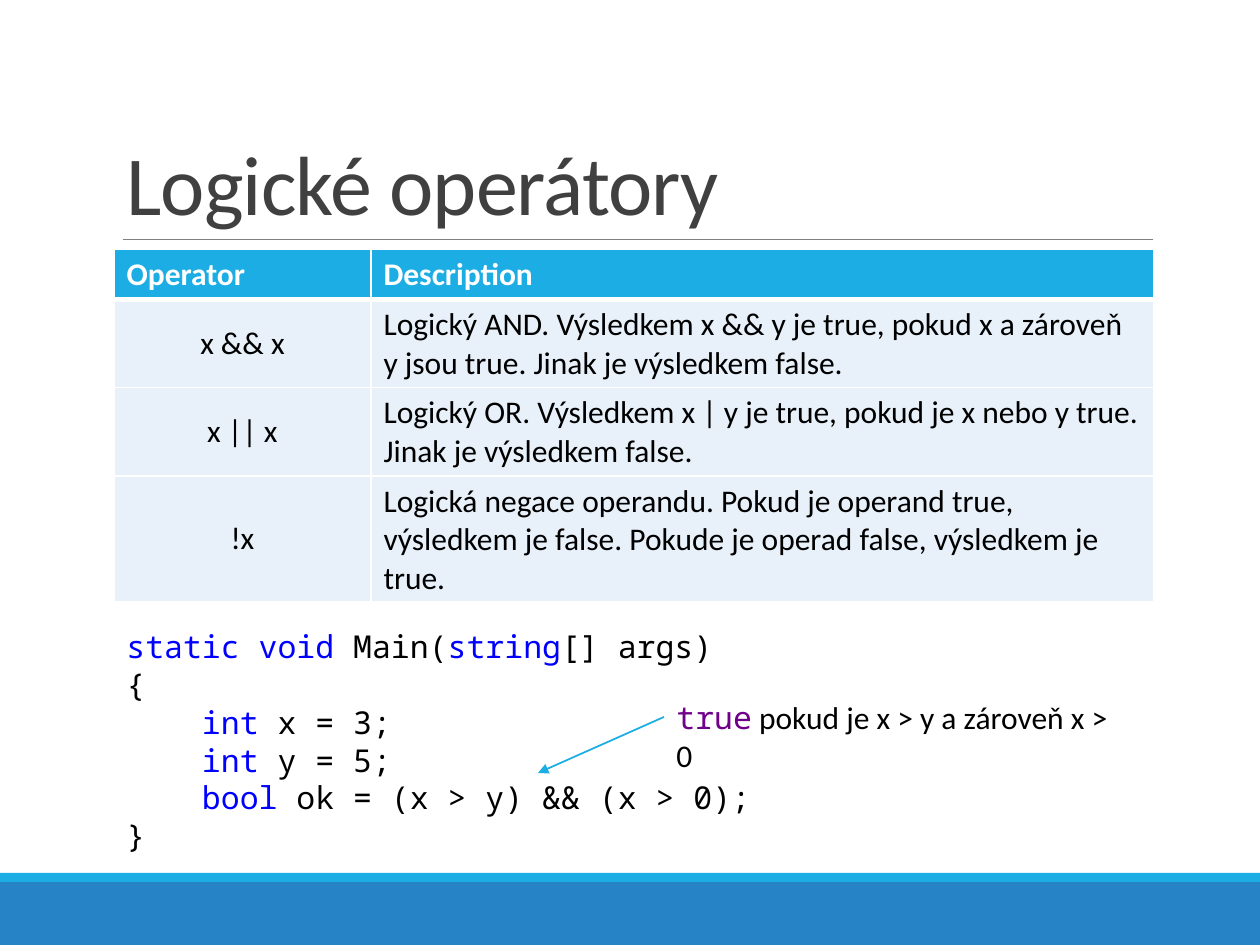
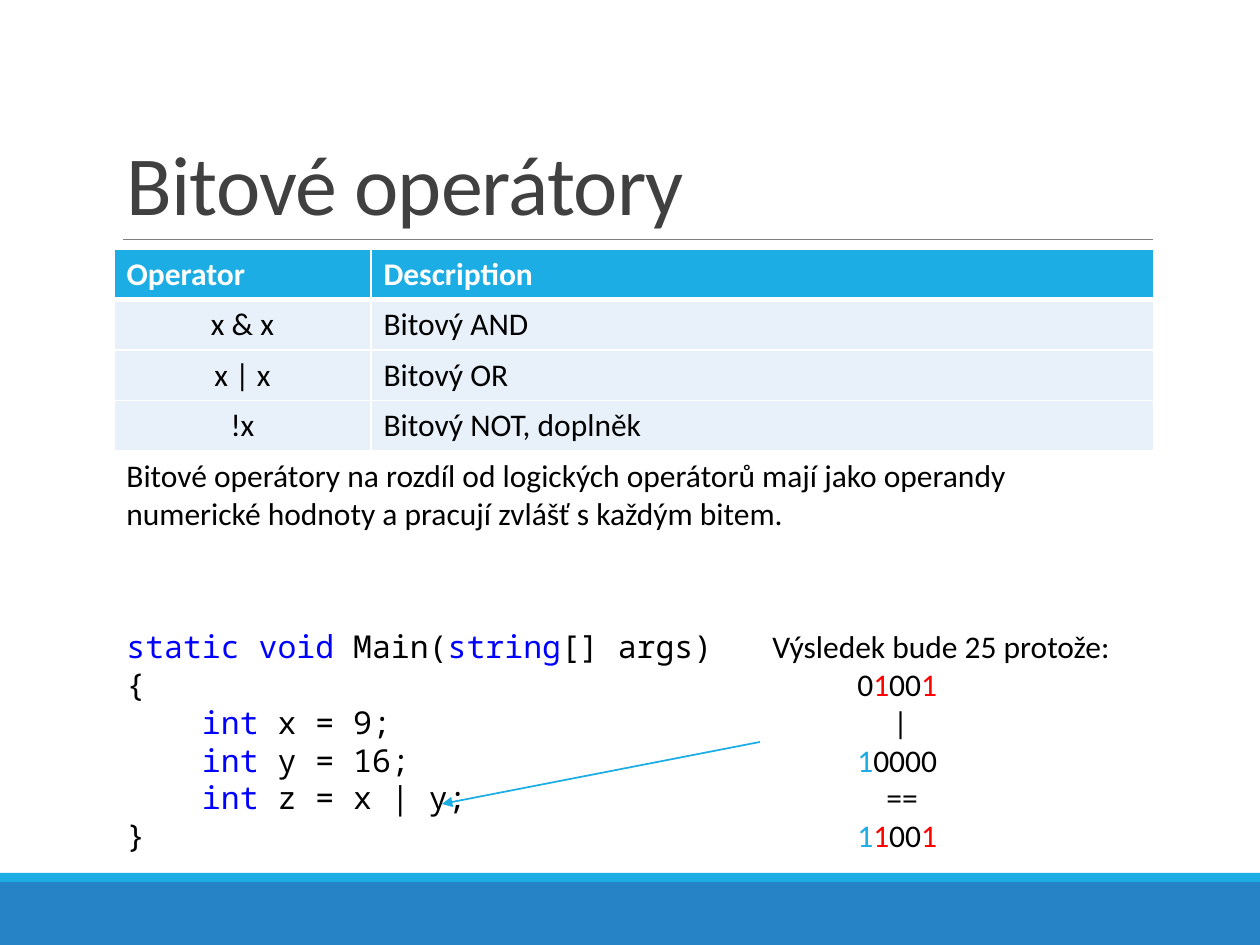
from lxml.etree import SubElement as Sub
from pptx import Presentation
from pptx.dml.color import RGBColor
from pptx.enum.shapes import MSO_CONNECTOR as Link, MSO_SHAPE as Shape
from pptx.enum.text import MSO_ANCHOR as Anchor, PP_ALIGN as Align
from pptx.oxml.ns import qn
from pptx.util import Emu, Pt

SCALE = 7257  # EMU in one px, 126 px to the inch
WIDE, HIGH = 1260, 945
LEFT, SPAN = 114, 1040
CODE_TOP, CODE_HIGH = 621, 242

BODY, MONO = "Calibri", "Noto Sans Mono"
BLACK, WHITE, DARK, GREY = "000000", "FFFFFF", "404040", "808080"
SKY, BAND, PALE = "1CADE4", "2683C6", "E8F1FA"
WORD, RED, PLUM = "0000FF", "FF0000", "6F008A"


def px(n):
    return Emu(round(n * SCALE))


def hue(code):
    return RGBColor.from_string(code)


def code(text):
    """Turn lines with ~keyword~ marks into coloured runs."""
    return [[(part, WORD if i % 2 else BLACK, MONO)
             for i, part in enumerate(line.split("~")) if part]
            for line in text.split("\n")]


class Deck:
    def __init__(self):
        self.prs = Presentation()
        self.prs.slide_width, self.prs.slide_height = px(WIDE), px(HIGH)
        self.slide = None

    # Shared frame: bands, rule and title
    def page(self, title):
        self.slide = self.prs.slides.add_slide(self.prs.slide_layouts[6])
        self.rect(0, 882, WIDE, 63, BAND)
        self.rect(0, 873, WIDE, 9, SKY)
        self.line(123, 239, 1153, 239, GREY, 0.5)
        frame = self.text(LEFT, 39, SPAN, 200, [[(title, DARK)]], size=48)
        frame.vertical_anchor = Anchor.BOTTOM
        par = frame.paragraphs[0]
        par.line_spacing = 0.85
        par.runs[0].font._element.set("spc", "-50")

    def rect(self, x, y, w, h, fill):
        box = self.slide.shapes.add_shape(
            Shape.RECTANGLE, px(x), px(y), px(w), px(h))
        box.shadow.inherit = False
        box.fill.solid()
        box.fill.fore_color.rgb = hue(fill)
        box.line.fill.background()

    def line(self, x1, y1, x2, y2, color=SKY, width=1, arrow=False):
        link = self.slide.shapes.add_connector(
            Link.STRAIGHT, px(x1), px(y1), px(x2), px(y2))
        link.line.color.rgb = hue(color)
        link.line.width = Pt(width)
        props = link._element.spPr
        if arrow:
            Sub(props.find(qn("a:ln")), qn("a:tailEnd"), type="triangle")
        Sub(props, qn("a:effectLst"))

    def runs(self, par, parts, size=18, bold=False):
        for text, color, *font in parts:
            run = par.add_run()
            run.text = text
            run.font.name = font[0] if font else BODY
            run.font.size = Pt(size)
            run.font.bold = bold
            run.font.color.rgb = hue(color)

    def text(self, x, y, w, h, rows, size=18, dents=()):
        box = self.slide.shapes.add_textbox(px(x), px(y), px(w), px(h))
        frame = box.text_frame
        frame.word_wrap = True
        for i, parts in enumerate(rows):
            par = frame.add_paragraph() if i else frame.paragraphs[0]
            if dents:
                par._p.get_or_add_pPr().set("marL", str(px(dents[i])))
            self.runs(par, parts, size)
        return frame

    def edge(self, cell, side, width):
        props = cell._tc.get_or_add_tcPr()
        ln = Sub(props, qn("a:ln" + side), w=str(Pt(width)))
        Sub(Sub(ln, qn("a:solidFill")), qn("a:srgbClr"), val=WHITE)

    def table(self, rows, highs):
        rows = [("Operator", "Description"), *rows]
        grid = self.slide.shapes.add_table(
            len(rows), 2, px(LEFT), px(249), px(SPAN), px(sum(highs))).table
        grid.first_row = grid.horz_banding = False
        for col, w in zip(grid.columns, (257, 783)):
            col.width = px(w)
        for r, (row, high) in enumerate(zip(rows, highs)):
            grid.rows[r].height = px(high)
            head = r == 0
            for c, text in enumerate(row):
                cell = grid.cell(r, c)
                for side in "LRTB":
                    thick = (side, r) in (("B", 0), ("T", 1))
                    self.edge(cell, side, 3 if thick else 1)
                cell.fill.solid()
                cell.fill.fore_color.rgb = hue(SKY if head else PALE)
                cell.vertical_anchor = Anchor.MIDDLE
                par = cell.text_frame.paragraphs[0]
                if c == 0 and not head:
                    par.alignment = Align.CENTER
                self.runs(par, [(text, WHITE if head else BLACK)], bold=head)


def logic(deck):
    deck.page("Logické operátory")
    deck.text(LEFT, CODE_TOP, SPAN, CODE_HIGH, code(
        """~static void ~Main(~string~[] args)
{
    ~int~ x = 3;
    ~int~ y = 5;
    ~bool ~ok = (x > y) && (x > 0);
}"""))
    deck.text(664, 692, 476, 50, [[
        ("true", PLUM, MONO), (" pokud je x > y a zároveň x > 0", BLACK)]])
    deck.line(664, 717, 538, 773, arrow=True)
    deck.table([
        ("x && x", "Logický AND. Výsledkem x && y je true, pokud x a zároveň "
                   "y jsou true. Jinak je výsledkem false."),
        ("x || x", "Logický OR. Výsledkem x | y je true, pokud je x nebo y "
                   "true. Jinak je výsledkem false."),
        ("!x", "Logická negace operandu. Pokud je operand true, výsledkem je "
               "false. Pokude je operad false, výsledkem je true."),
    ], (50, 88, 88, 126))


def bits(deck):
    deck.page("Bitové operátory")
    deck.table([("x & x", "Bitový AND"), ("x | x", "Bitový OR"),
                ("!x", "Bitový NOT, doplněk")], (50,) * 4)
    deck.text(LEFT, CODE_TOP, 687, CODE_HIGH, code(
        """~static void ~Main(~string~[] args)
{
    ~int ~x = 9;
    ~int ~y = 16;
    ~int ~z = x | y;
}"""))
    deck.line(760, 742, 442, 804, arrow=True)
    # Sum of bits, each digit in the colour of its operand
    tail = [("1", RED), ("00", BLACK), ("1", RED)]
    deck.text(760, CODE_TOP, 393, CODE_HIGH, [
        [("Výsledek bude 25 protože:", BLACK)],
        [("0", BLACK), *tail],
        [("|", BLACK)],
        [("1", SKY), ("0000", BLACK)],
        [("==", BLACK)],
        [("1", SKY), *tail],
    ], dents=(0, 85, 121, 85, 114, 85))
    deck.text(LEFT, 450, SPAN, 89, [[(
        "Bitové operátory na rozdíl od logických operátorů mají jako operandy "
        "numerické hodnoty a pracují zvlášť s každým bitem.", BLACK)]])


def main():
    deck = Deck()
    logic(deck)
    bits(deck)
    deck.prs.save("out.pptx")


if __name__ == "__main__":
    main()
